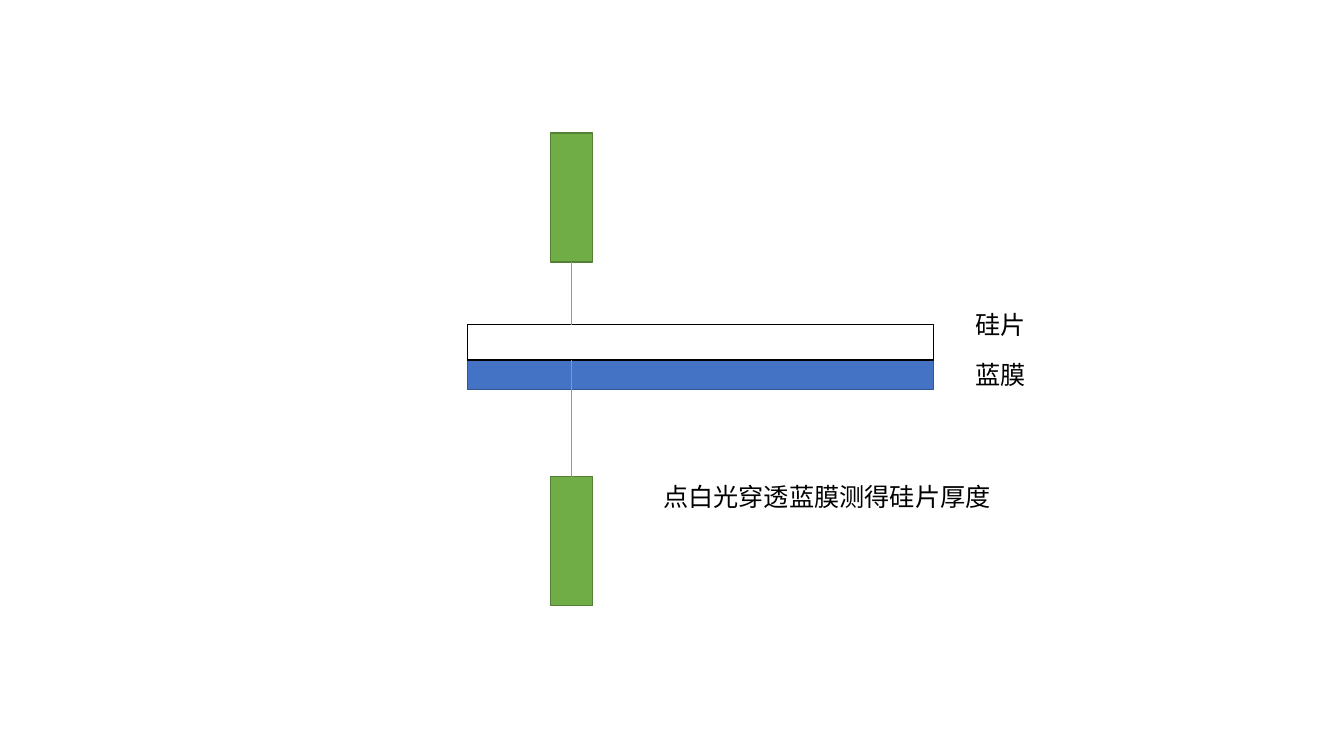
import pptx
import pptx.util
import pptx.dml.color
import pptx.enum.shapes
import pptx.enum.text
import pptx.oxml.ns
import lxml.etree

Cm, Pt = pptx.util.Cm, pptx.util.Pt
FONT = "Noto Sans CJK SC"
COLORS = {
    "film": "4472C4", "film_edge": "325491",
    "wafer": "FFFFFF", "wafer_edge": "000000",
    "probe": "70AD47", "probe_edge": "538035",
    "beam": "ED7D31", "text": "000000",
}

# Content, in centimetres: text, left, top, width
LABELS = [
    ("点白光穿透蓝膜测得硅片厚度", 16.46, 12.01, 8.84),
    ("硅片", 24.33, 7.67, 1.8),
    ("蓝膜", 24.33, 8.94, 1.8),
]
LABEL_H = 1.02
STACK_X, STACK_W = 11.79, 11.73
WAFER_Y, WAFER_H, FILM_H = 8.18, 0.89, 0.74
PROBE_X, PROBE_W, PROBE_H = 13.87, 1.07, 3.25
UPPER_Y, LOWER_Y = 3.35, 12.01

# Derived positions
film_y = WAFER_Y + WAFER_H
beam_x = PROBE_X + PROBE_W / 2
BLOCKS = [
    ("film", STACK_X, film_y, STACK_W, FILM_H),
    ("wafer", STACK_X, WAFER_Y, STACK_W, WAFER_H),
    ("probe", PROBE_X, UPPER_Y, PROBE_W, PROBE_H),
    ("probe", PROBE_X, LOWER_Y, PROBE_W, PROBE_H),
]
BEAMS = [(LOWER_Y, film_y), (UPPER_Y + PROBE_H, WAFER_Y)]


def rgb(name):
    return pptx.dml.color.RGBColor.from_string(COLORS[name])


def add_block(s, kind, *box):
    sp = s.shapes.add_shape(pptx.enum.shapes.MSO_SHAPE.RECTANGLE, *map(Cm, box))
    sp.shadow.inherit = False
    sp.fill.solid()
    sp.fill.fore_color.rgb = rgb(kind)
    sp.line.color.rgb = rgb(kind + "_edge")
    sp.line.width = Pt(1)


def add_beam(s, start, end):
    line = s.shapes.add_connector(
        pptx.enum.shapes.MSO_CONNECTOR.STRAIGHT,
        Cm(beam_x), Cm(start), Cm(beam_x), Cm(end))
    line.line.color.rgb = rgb("beam")
    line.line.width = Pt(0.5)
    lxml.etree.SubElement(line._element.spPr, pptx.oxml.ns.qn("a:effectLst"))


def add_label(s, text, left, top, width):
    tf = s.shapes.add_textbox(Cm(left), Cm(top), Cm(width), Cm(LABEL_H)).text_frame
    tf.word_wrap = False
    tf.auto_size = pptx.enum.text.MSO_AUTO_SIZE.SHAPE_TO_FIT_TEXT
    r = tf.paragraphs[0].add_run()
    r.text = text
    r.font.size = Pt(18)
    r.font.color.rgb = rgb("text")
    r.font.name = FONT
    ea = lxml.etree.SubElement(r.font._element, pptx.oxml.ns.qn("a:ea"))
    ea.set("typeface", FONT)


def main():
    prs = pptx.Presentation()
    prs.slide_width, prs.slide_height = Cm(33.87), Cm(19.05)
    s = prs.slides.add_slide(prs.slide_layouts[6])
    # Film, wafer and the two probes
    for block in BLOCKS:
        add_block(s, *block)
    # Light beams between probes and stack
    for beam in BEAMS:
        add_beam(s, *beam)
    # Labels
    for label in LABELS:
        add_label(s, *label)
    prs.save("out.pptx")


if __name__ == "__main__":
    main()
